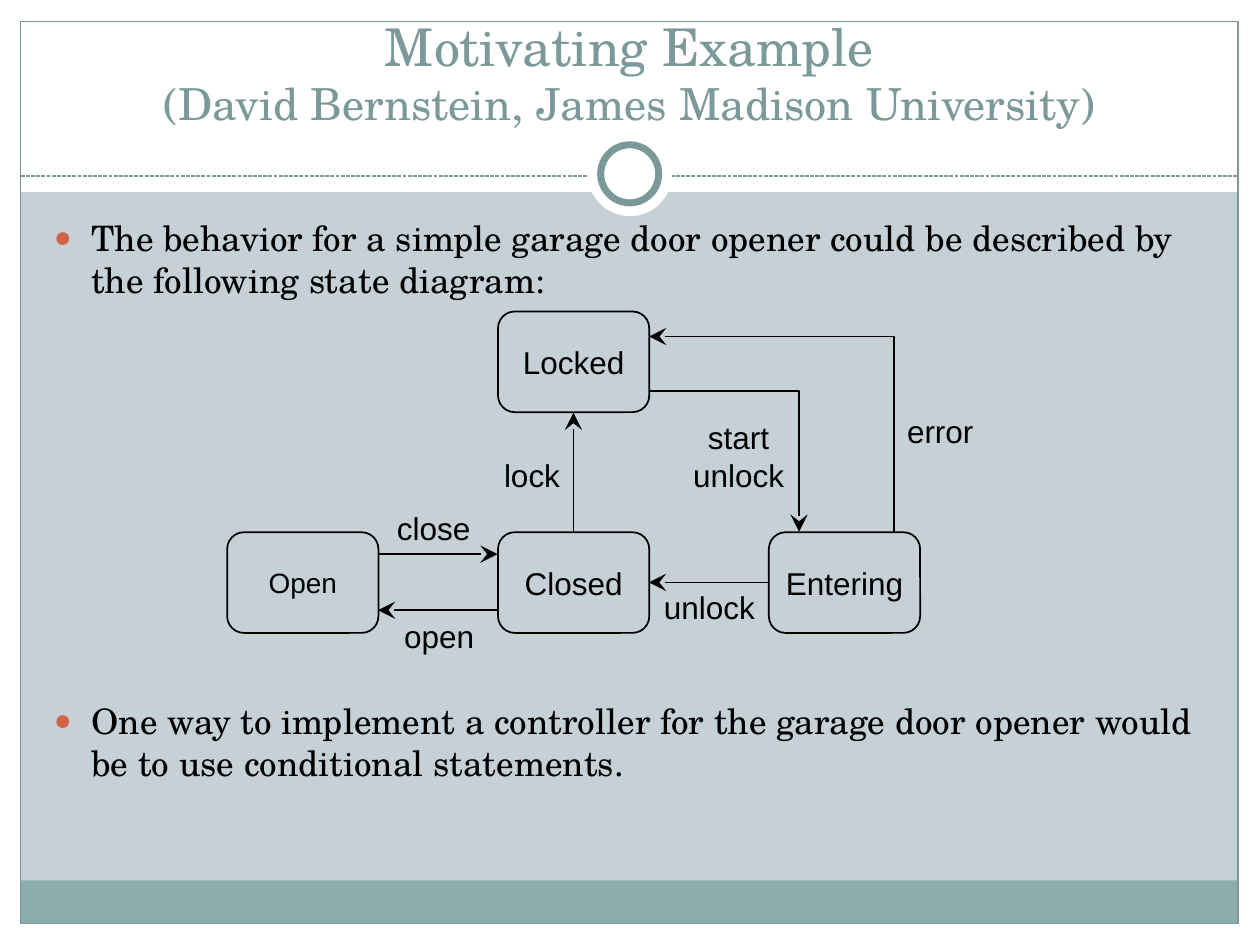
"""Build a slide with the state diagram of a garage door opener."""
from lxml.etree import SubElement
from pptx import Presentation
from pptx.dml.color import RGBColor
from pptx.enum.dml import MSO_LINE
from pptx.enum.shapes import MSO_CONNECTOR, MSO_SHAPE
from pptx.enum.text import MSO_ANCHOR, MSO_AUTO_SIZE, PP_ALIGN
from pptx.oxml.ns import qn
from pptx.util import Cm, Pt

COLORS = {"paper": "FFFFFF", "ground": "C5D1D7", "band": "8CADAE",
          "accent": "7C999A", "bullet": "D16349", "ink": "000000"}
SERIF, SANS = "TeX Gyre Schola", "Arial"

deck = Presentation()
deck.slide_width, deck.slide_height = Cm(25.4), Cm(19.05)
page = deck.slides.add_slide(deck.slide_layouts[1])
page.background.fill.solid()
page.background.fill.fore_color.rgb = RGBColor.from_string(COLORS["ground"])


def add_span(para, text, size, font, color):
    span = para.add_run()
    span.text = text
    for name, value in {"size": Pt(size), "name": font}.items():
        setattr(span.font, name, value)
    span.font.color.rgb = RGBColor.from_string(COLORS[color])


def add_figure(kind, place, fill=None, line=None, width=1):
    figure = page.shapes.add_shape(kind, *map(Cm, place))
    figure.shadow.inherit = False
    if fill:
        figure.fill.solid()
        figure.fill.fore_color.rgb = RGBColor.from_string(COLORS[fill])
    else:
        figure.fill.background()
    if line:
        figure.line.color.rgb = RGBColor.from_string(COLORS[line])
        figure.line.width = Pt(width)
    else:
        figure.line.fill.background()
    return figure


bands = [
    ((0, 18.62, 25.4, 0.43), "paper"),
    ((0, 0, 25.4, 3.87), "paper"),
    ((0, 0, 0.42, 19.05), "paper"),
    ((24.98, 0, 0.42, 19.05), "paper"),
    ((0.41, 17.75, 24.54, 0.86), "band"),
]
for place, fill in bands:
    add_figure(MSO_SHAPE.RECTANGLE, place, fill)
add_figure(MSO_SHAPE.RECTANGLE, (0.42, 0.43, 24.54, 18.19), None, "accent", 0.75)

straight, elbow = MSO_CONNECTOR.STRAIGHT, MSO_CONNECTOR.ELBOW
routes = [
    (straight, (0.42, 3.55, 24.96, 3.55), "accent", 0),
    (straight, (7.62, 11.17, 10.03, 11.17), "ink", 0),
    (straight, (10.03, 12.3, 7.62, 12.3), "ink", 0),
    (straight, (11.56, 10.72, 11.56, 8.32), "ink", 0),
    (straight, (15.49, 11.74, 13.08, 11.74), "ink", 0),
    (elbow, (13.08, 7.88, 16.11, 10.72), "ink", 0),
    (elbow, (13.58, 11.22, 17.52, 6.29), "ink", 270),
]
for kind, ends, color, turn in routes:
    route = page.shapes.add_connector(kind, *map(Cm, ends))
    route.line.color.rgb = RGBColor.from_string(COLORS[color])
    properties = route._element.spPr
    if color == "accent":
        route.line.width = Pt(0.75)
        route.line.dash_style = MSO_LINE.SQUARE_DOT
    else:
        route.line.width = Pt(1)
        SubElement(route.line._get_or_add_ln(), qn("a:tailEnd"),
                   type="stealth", w="lg", len="lg")
    if kind == elbow:
        properties.find(qn("a:prstGeom")).set("prst", "bentConnector2")
    if turn:
        properties.find(qn("a:xfrm")).set("rot", str(turn * 60000))
    SubElement(properties, qn("a:effectLst"))

add_figure(MSO_SHAPE.OVAL, (11.85, 2.66, 1.7, 1.7), "paper")
add_figure(MSO_SHAPE.OVAL, (12.11, 2.92, 1.17, 1.17), "paper", "accent", 4)

title, body = page.shapes.title, page.placeholders[1]
frames = [
    (title, (0.84, 0.63, 23.7, 2.11), MSO_ANCHOR.BOTTOM),
    (body, (0.83, 4.24, 23.62, 12.7), MSO_ANCHOR.TOP),
]
for holder, place, anchor in frames:
    for name, value in zip(("left", "top", "width", "height"), place):
        setattr(holder, name, Cm(value))
    holder.text_frame.vertical_anchor = anchor
    holder.text_frame.auto_size = MSO_AUTO_SIZE.NONE
    page.shapes._spTree.append(holder._element)

heading = title.text_frame.paragraphs[0]
heading.alignment = PP_ALIGN.CENTER
add_span(heading, "Motivating Example", 29.7, SERIF, "accent")
heading.add_line_break()
add_span(heading, "(David Bernstein, James Madison University)", 25.2, SERIF, "accent")

points = [
    ("The behavior for a simple garage door opener could be described by "
     "the following state diagram:", 4),
    ("One way to implement a controller for the garage door opener would "
     "be to use conditional statements.", 228),
]
for index, (text, gap) in enumerate(points):
    para = body.text_frame.add_paragraph() if index else body.text_frame.paragraphs[0]
    para.space_before = Pt(gap)
    add_span(para, text, 20, SERIF, "ink")
    settings = para._p.get_or_add_pPr()
    settings.set("marL", str(Cm(0.76)))
    settings.set("indent", str(-Cm(0.76)))
    SubElement(SubElement(settings, qn("a:buClr")), qn("a:srgbClr"), val=COLORS["bullet"])
    SubElement(settings, qn("a:buSzPct"), val="85000")
    SubElement(settings, qn("a:buFont"), typeface=SANS)
    SubElement(settings, qn("a:buChar"), char="●")

states = [("Open", 4.58, 10.73, 16), ("Closed", 10.04, 10.73, 18),
          ("Entering", 15.5, 10.73, 18), ("Locked", 10.04, 6.28, 18)]
for text, left, top, size in states:
    state = add_figure(MSO_SHAPE.ROUNDED_RECTANGLE, (left, top, 3.05, 2.03), None, "ink")
    state.text_frame.word_wrap = False
    state.text_frame.vertical_anchor = MSO_ANCHOR.MIDDLE
    para = state.text_frame.paragraphs[0]
    para.alignment = PP_ALIGN.CENTER
    add_span(para, text, size, SANS, "ink")

labels = [
    (["close"], (7.74, 10.13, 2.01, 1.02)),
    (["open"], (7.89, 12.32, 1.93, 1.02)),
    (["lock"], (9.9, 9.07, 1.65, 1.02)),
    (["start", "unlock"], (13.71, 8.31, 2.36, 1.8)),
    (["error"], (18.03, 8.18, 1.85, 1.02)),
    (["unlock"], (13.12, 11.72, 2.36, 1.02)),
]
for lines, place in labels:
    box = page.shapes.add_textbox(*map(Cm, place))
    box.text_frame.word_wrap = False
    box.text_frame.auto_size = MSO_AUTO_SIZE.SHAPE_TO_FIT_TEXT
    for index, text in enumerate(lines):
        para = box.text_frame.add_paragraph() if index else box.text_frame.paragraphs[0]
        para.alignment = PP_ALIGN.CENTER
        add_span(para, text, 18, SANS, "ink")

deck.save("out.pptx")
